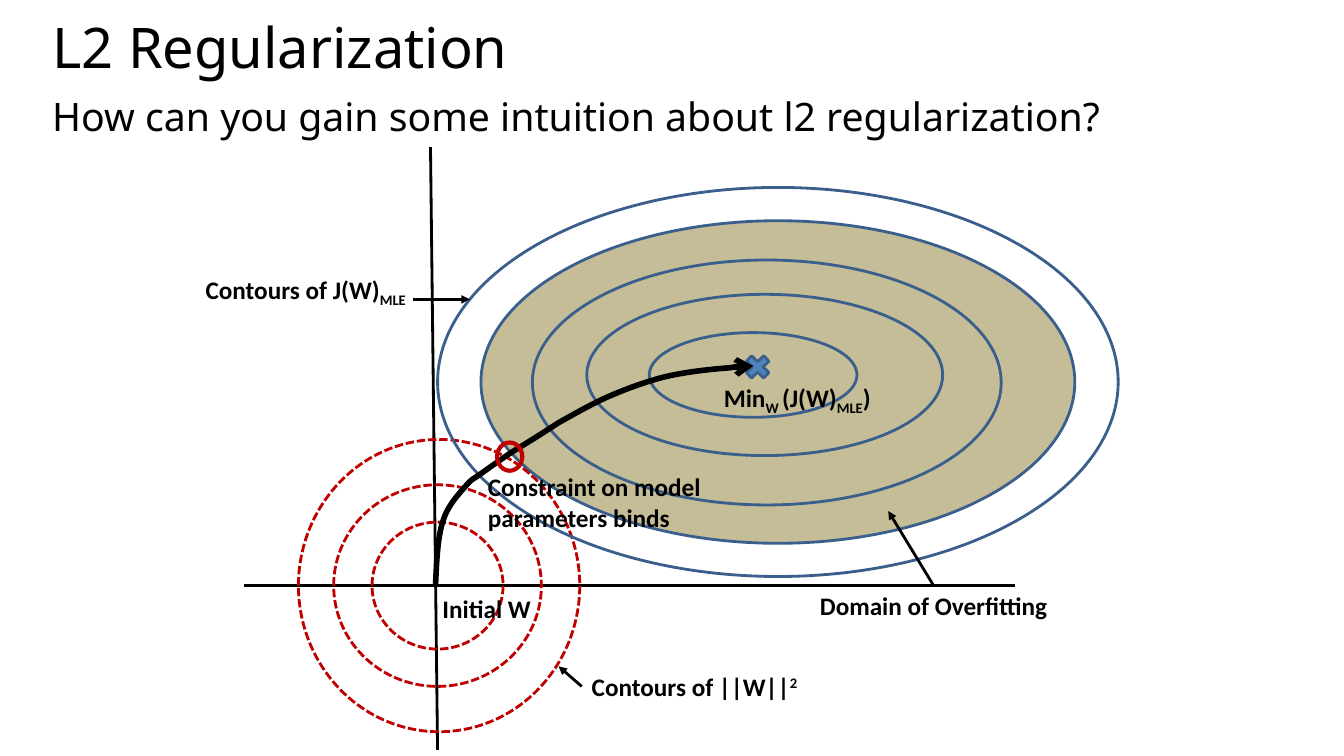
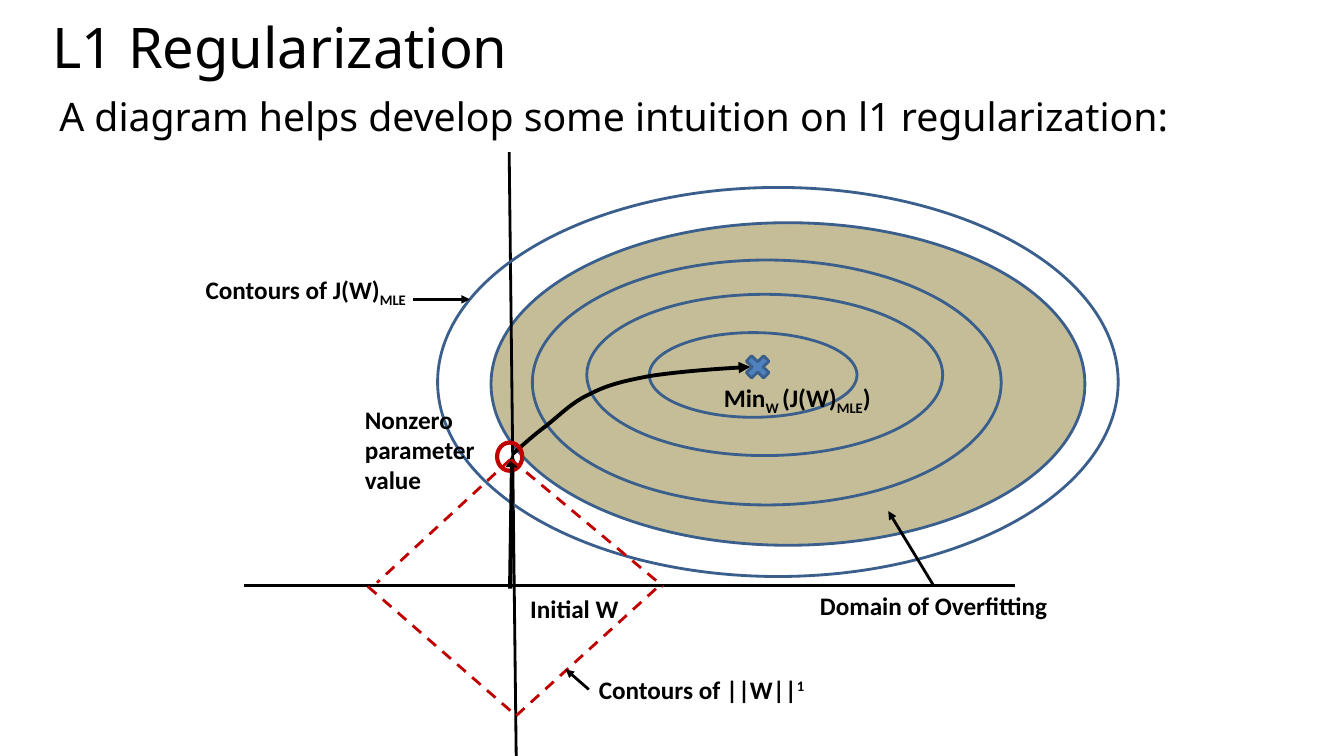
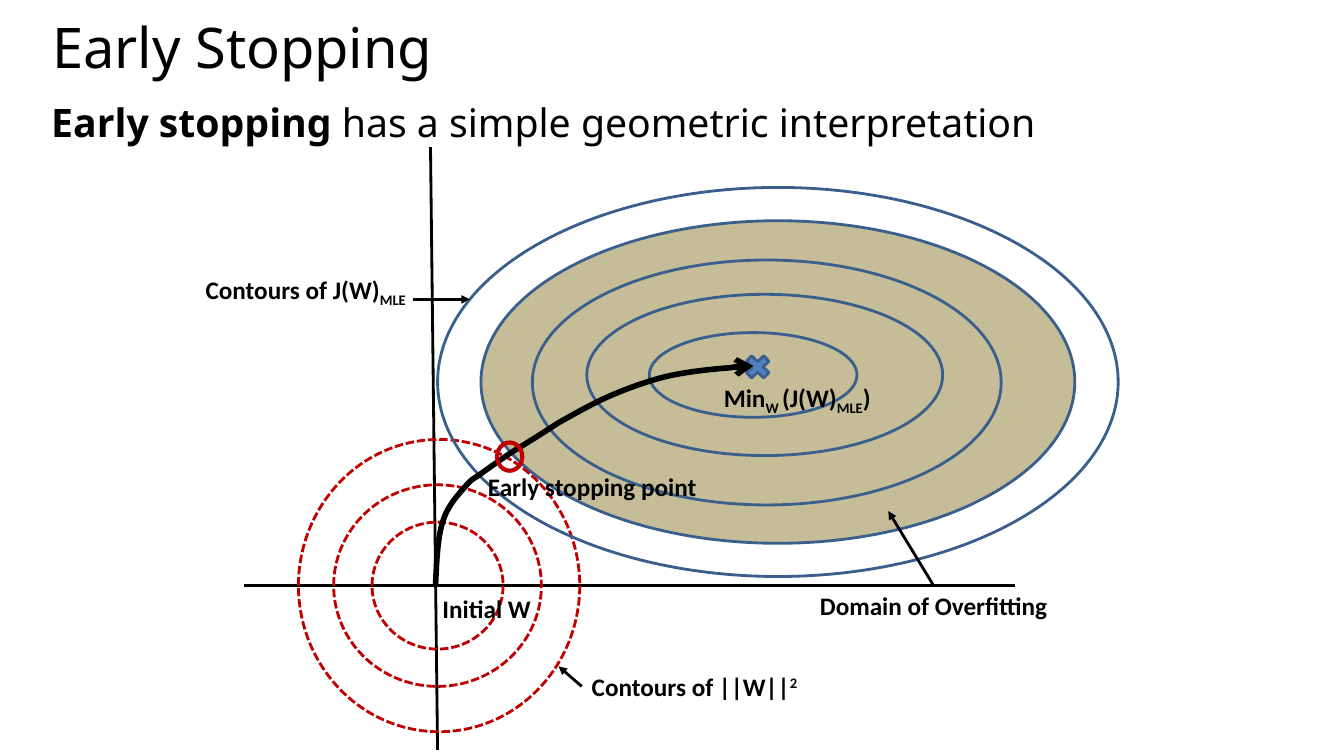
import pptx
import pptx.dml.color
import pptx.enum.dml
import pptx.enum.shapes
import pptx.enum.text
import pptx.oxml.ns
import pptx.oxml.xmlchemy
import pptx.util

DASH = pptx.enum.dml.MSO_LINE.DASH
SHORT_DASH = pptx.enum.dml.MSO_LINE.SQUARE_DOT
SHAPE = pptx.enum.shapes.MSO_SHAPE
LEFT, CENTER = pptx.enum.text.PP_ALIGN.LEFT, pptx.enum.text.PP_ALIGN.CENTER


class Theme:
    ink, contour, norm = "000000", "3A5F8C", "C00000"
    overfit, minimum = "C4BD97", "4F81BD"
    title_font, label_font = "Noto Sans", "Calibri"
    title, subtitle, label = 40, 28, 18
    line, marker = 2, 3


# Content: positions are in inches. A text is a list of paragraphs, a paragraph
# a list of runs, a run (text, baseline in percent, bold).
def plain(text, bold=True):
    return [(text, 0, bold)]


def norm_label(power):
    return [[("Contours of ||W||", 0, True), (power, 30, True)]]


MIN_LABEL = [[("Min", 0, True), ("W ", -25, True), ("(J(W)", 0, True),
              ("MLE", -25, True), (")", 0, True)]]
LOSS_LABEL = [[("Contours of J(W)", 0, True), ("MLE", -25, True)]]

LOSS_CONTOURS = [(6.44, 3.3, 2.06, 0.84), (5.82, 2.92, 3.53, 1.6),
                 (5.28, 2.58, 4.65, 2.43), (4.34, 1.86, 6.75, 3.86)]
NORM_CIRCLES = [(3.69, 5.18, 1.3, 1.26), (3.31, 4.81, 2.06, 2), (2.96, 4.36, 2.79, 2.9)]
NORM_DIAMOND = [((5.06, 4.56), (3.74, 5.78)), ((5.07, 4.56), (6.58, 5.82)),
                ((5.12, 7.1), (6.55, 5.8)), ((3.65, 5.82), (5.12, 7.1))]
MINIMUM = (7.35, 3.48, 0.33, 0.32)
BINDING_POINT = (4.93, 4.39, 0.25, 0.28)
X_AXIS = ((10.07, 5.81), (2.42, 5.81))

# Each curve is a start point, then three points for every Bezier segment.
LONG_DESCENT = [
    (4.32, 5.8),
    (4.33, 5.57), (4.34, 5.34), (4.39, 5.18), (4.44, 5.01), (4.56, 4.89), (4.63, 4.81),
    (4.69, 4.74), (4.69, 4.76), (4.77, 4.7), (4.84, 4.65), (4.95, 4.57), (5.07, 4.49),
    (5.2, 4.41), (5.38, 4.3), (5.53, 4.2), (5.69, 4.11), (5.83, 4.03), (6, 3.95),
    (6.18, 3.87), (6.39, 3.79), (6.59, 3.74), (6.79, 3.69), (7.08, 3.66), (7.23, 3.65),
    (7.37, 3.63), (7.43, 3.64), (7.47, 3.63)]
SHORT_DESCENT = [
    (5.09, 4.5),
    (5.19, 4.41), (5.29, 4.32), (5.41, 4.23), (5.54, 4.13), (5.67, 3.99), (5.85, 3.91),
    (6.02, 3.82), (6.18, 3.78), (6.45, 3.73), (6.72, 3.69), (7.08, 3.66), (7.44, 3.64)]

L2_DIAGRAM = dict(
    overfit=(4.77, 2.19), y_axis=((4.27, 1.46), (4.34, 7.44)),
    circles=NORM_CIRCLES, diamond=[], climb=[],
    descent=(LONG_DESCENT, 4, "arrow"), initial=(4.29, 5.84),
    norm=(norm_label("2"), (5.77, 6.61)))
L1_DIAGRAM = dict(
    overfit=(4.87, 2.21), y_axis=((5.05, 1.51), (5.12, 7.5)),
    circles=[], diamond=NORM_DIAMOND, climb=[((5.06, 5.84), (5.08, 4.51))],
    descent=(SHORT_DESCENT, 2.75, "triangle"), initial=(5.16, 5.84),
    norm=(norm_label("1"), (5.84, 6.64)))

SLIDES = [
    dict(title="L2 Regularization", subtitle_at=(0.42, 0.87),
         subtitle=plain("How can you gain some intuition about l2 regularization?", False),
         note=[plain("Constraint on model parameters binds")],
         note_at=(4.74, 4.63, 2.38, 0.71), diagram=L2_DIAGRAM),
    dict(title="L1 Regularization", subtitle_at=(0.49, 0.87),
         subtitle=plain("A diagram helps develop some intuition on l1 regularization:", False),
         note=[plain("Nonzero parameter"), plain("value")],
         note_at=(3.52, 3.96, 1.4, 1.01), diagram=L1_DIAGRAM),
    dict(title="Early Stopping", subtitle_at=(0.41, 0.93),
         subtitle=plain("Early stopping") + plain(" has a simple geometric interpretation", False),
         note=[plain("Early stopping point")],
         note_at=(4.74, 4.63, 2.38, 0.4), diagram=L2_DIAGRAM),
]


# Helpers
def inches(*values):
    return [pptx.util.Cm(2.54 * v) for v in values]


def rgb(value):
    return pptx.dml.color.RGBColor.from_string(value)


def set_line(line, color, width, dash=None, head=None):
    line.color.rgb = rgb(color)
    line.width = pptx.util.Pt(width)
    if dash:
        line.dash_style = dash
    if head:
        tail = pptx.oxml.xmlchemy.OxmlElement("a:tailEnd")
        tail.set("type", head)
        line._get_or_add_ln().append(tail)


def add_text(s, box, paragraphs, font, size, align=LEFT, spacing=None):
    tf = s.shapes.add_textbox(*inches(*box)).text_frame
    tf.word_wrap = True
    for i, runs in enumerate(paragraphs):
        p = tf.paragraphs[0] if i == 0 else tf.add_paragraph()
        p.alignment = align
        p.line_spacing = spacing
        p.font.name, p.font.size = font, pptx.util.Pt(size)
        p.font.color.rgb = rgb(Theme.ink)
        for text, baseline, bold in runs:
            r = p.add_run()
            r.text, r.font.bold = text, bold
            if baseline:
                r._r.get_or_add_rPr().set("baseline", str(baseline * 1000))


def add_label(s, box, paragraphs, align=LEFT):
    add_text(s, box, paragraphs, Theme.label_font, Theme.label, align)


def add_shape(s, box, color, width=Theme.line, fill=None, dash=None, kind=SHAPE.OVAL):
    sp = s.shapes.add_shape(kind, *inches(*box))
    sp.shadow.inherit = False
    if fill:
        sp.fill.solid()
        sp.fill.fore_color.rgb = rgb(fill)
    else:
        sp.fill.background()
    set_line(sp.line, color, width, dash)


def add_line(s, ends, color=Theme.ink, width=Theme.line, dash=None, head=None):
    start, end = ends
    line = s.shapes.add_connector(
        pptx.enum.shapes.MSO_CONNECTOR.STRAIGHT, *inches(*start, *end))
    set_line(line.line, color, width, dash, head)
    line._element.spPr.append(pptx.oxml.xmlchemy.OxmlElement("a:effectLst"))


def add_curve(s, points, width, head):
    start, *rest = [inches(*point) for point in points]
    builder = s.shapes.build_freeform(*start)
    builder.add_line_segments(rest, close=False)
    sp = builder.convert_to_shape()
    sp.shadow.inherit = False
    sp.fill.background()
    set_line(sp.line, Theme.ink, width, head=head)
    # Every three straight segments become one Bezier segment
    steps = list(sp._element.iter(pptx.oxml.ns.qn("a:lnTo")))
    for i in range(0, len(steps), 3):
        bezier = pptx.oxml.xmlchemy.OxmlElement("a:cubicBezTo")
        steps[i].addprevious(bezier)
        for step in steps[i:i + 3]:
            bezier.append(step[0])
            step.getparent().remove(step)


def add_diagram(s, d, note, note_at):
    # Overfitting domain and axes
    add_shape(s, (*d["overfit"], 5.89, 3.2), Theme.contour, fill=Theme.overfit)
    add_line(s, d["y_axis"])
    add_line(s, X_AXIS)

    # Contours and minimum
    for box in d["circles"]:
        add_shape(s, box, Theme.norm, dash=SHORT_DASH)
    for box in LOSS_CONTOURS:
        add_shape(s, box, Theme.contour)
    add_shape(s, MINIMUM, Theme.contour, fill=Theme.minimum, kind=SHAPE.MATH_MULTIPLY)

    # Route from the initial weights to the minimum
    add_curve(s, *d["descent"])
    add_shape(s, BINDING_POINT, Theme.norm, Theme.marker)
    for ends in d["climb"]:
        add_line(s, ends, width=Theme.marker, head="triangle")
    for ends in d["diamond"]:
        add_line(s, ends, Theme.norm, dash=DASH)

    # Labels and their arrows
    norm_text, (x, y) = d["norm"]
    add_label(s, (7.08, 3.74, 2.38, 0.4), MIN_LABEL)
    add_label(s, (*d["initial"], 2.38, 0.4), [plain("Initial W")])
    add_label(s, note_at, note)
    add_label(s, (x, y, 2.38, 0.4), norm_text)
    add_label(s, (1.94, 2.67, 2.38, 0.4), LOSS_LABEL)
    add_label(s, (7.86, 5.81, 2.8, 0.4), [plain("Domain of Overfitting")], CENTER)
    for ends in (((x, y + 0.2), (x - 0.23, y)), ((4.1, 2.97), (4.66, 2.97)),
                 ((9.26, 5.81), (8.81, 5.07))):
        add_line(s, ends, head="triangle")


# Slides
prs = pptx.Presentation()
prs.slide_width, prs.slide_height = inches(13.33, 7.5)
for content in SLIDES:
    s = prs.slides.add_slide(prs.slide_layouts[6])
    add_text(s, (0.42, 0.2, 12.6, 1.16), [plain(content["title"], False)],
             Theme.title_font, Theme.title, spacing=0.8)
    add_text(s, (*content["subtitle_at"], 12.6, 0.75), [content["subtitle"]],
             Theme.title_font, Theme.subtitle)
    add_diagram(s, content["diagram"], content["note"], content["note_at"])
prs.save("out.pptx")
